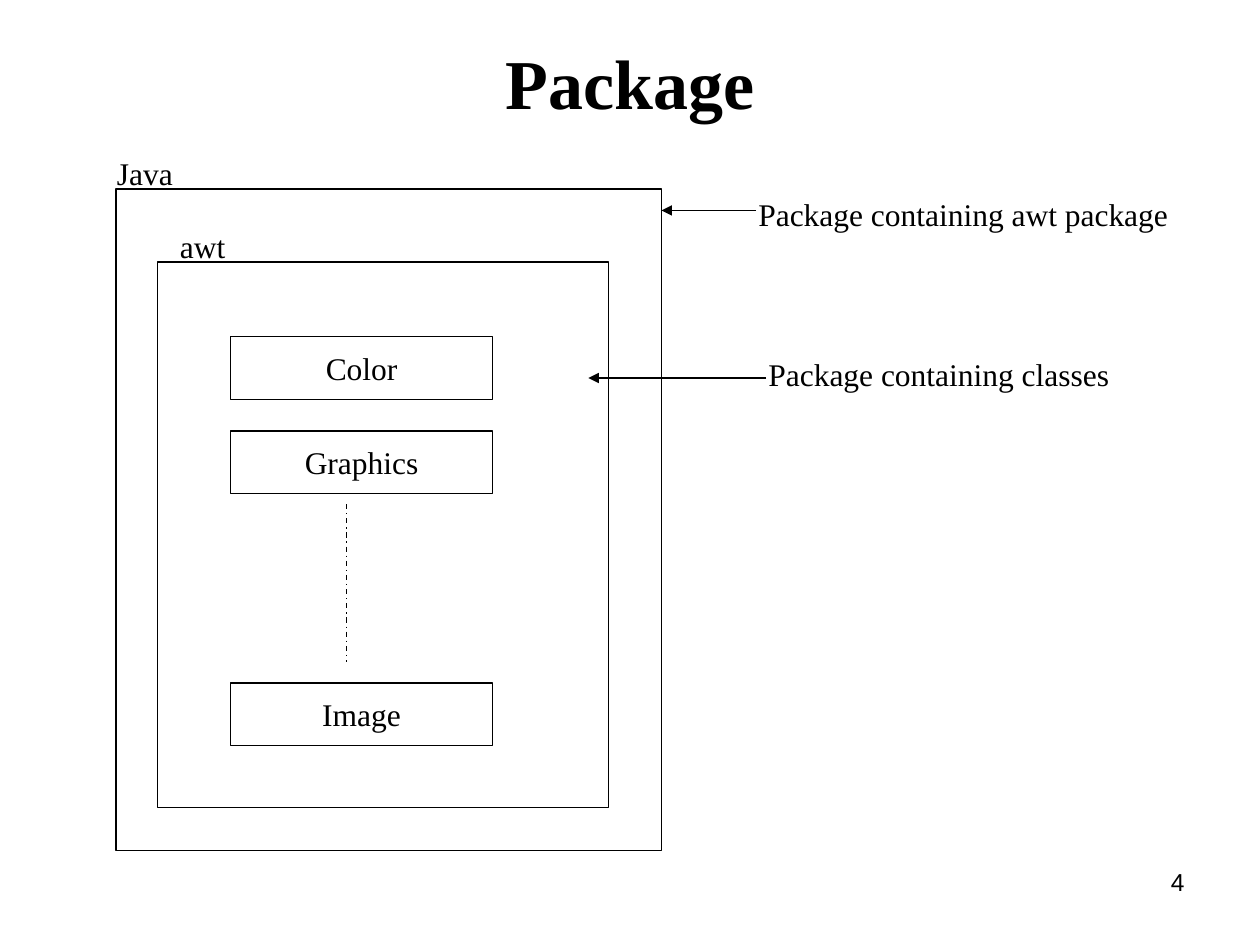
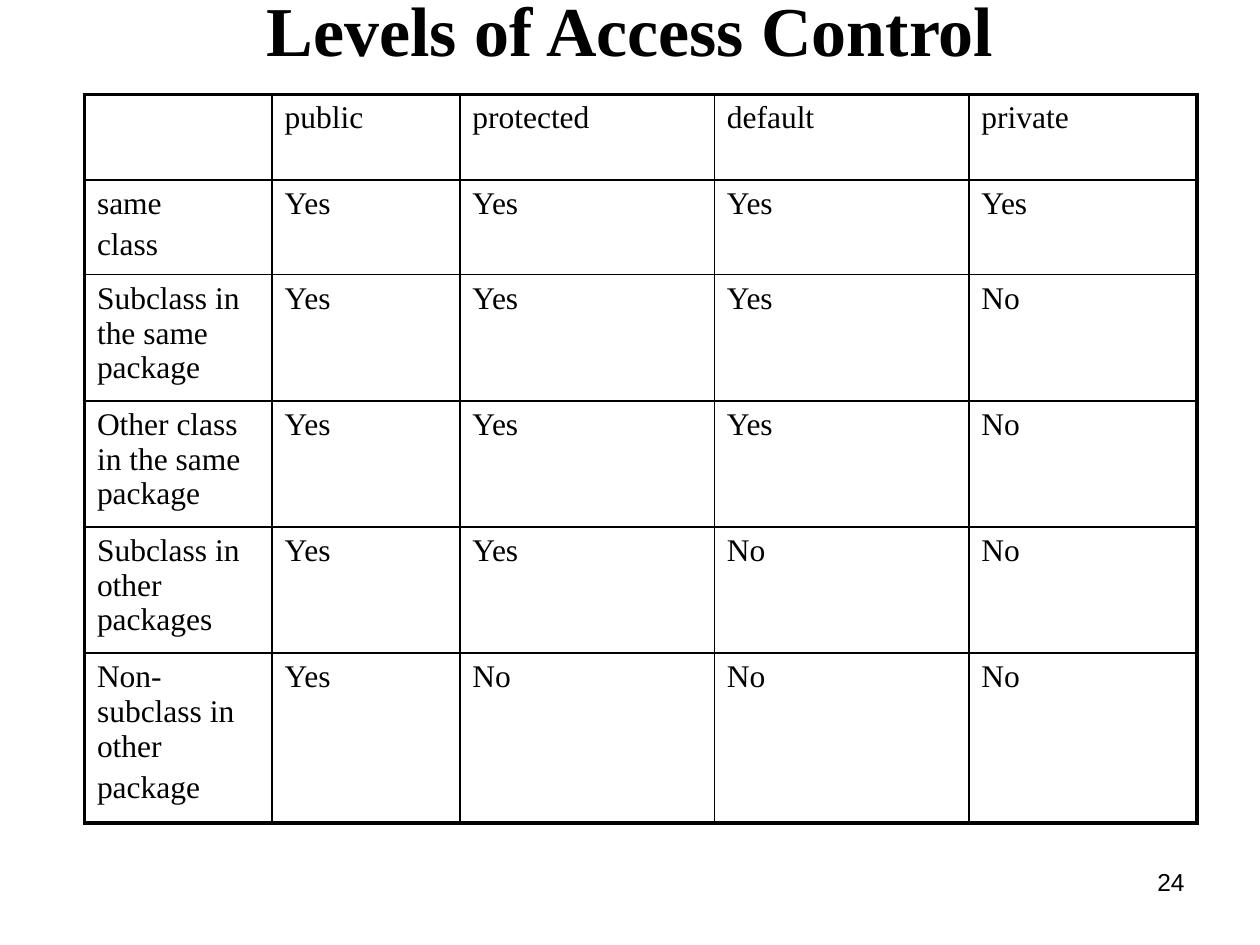
from lxml.etree import SubElement
from pptx import Presentation
from pptx.dml.color import RGBColor
from pptx.enum.dml import MSO_LINE
from pptx.enum.shapes import MSO_CONNECTOR, MSO_SHAPE
from pptx.enum.text import MSO_ANCHOR, MSO_AUTO_SIZE, PP_ALIGN
from pptx.oxml.ns import qn
from pptx.util import Inches, Pt

INK, PAPER = "000000", "FFFFFF"
THIN, GRID, FRAME = 0.75, 1, 2.25
BODY = {"name": "Times New Roman", "size": Pt(18), "bold": False}
TITLE = {"name": "Times New Roman", "size": Pt(40), "bold": True}
NUMBER = {"name": "Arial", "size": Pt(14), "bold": False}
INSETS = {"margin_left": Inches(0.1), "margin_right": Inches(0.1),
          "margin_top": Inches(0.05), "margin_bottom": Inches(0.05)}

LEVELS = [
    ["", "public", "protected", "default", "private"],
    ["same\nclass", "Yes", "Yes", "Yes", "Yes"],
    ["Subclass in the same package", "Yes", "Yes", "Yes", "No"],
    ["Other class in the same package", "Yes", "Yes", "Yes", "No"],
    ["Subclass in other packages", "Yes", "Yes", "No", "No"],
    ["Non-subclass in other\npackage", "Yes", "No", "No", "No"],
]
WIDTHS = [1.49, 1.49, 2.02, 2.02, 1.81]
HEIGHTS = [0.68, 0.7, 0.93, 0.93, 0.93, 1.25]


def color(code):
    return RGBColor.from_string(code)


def inches(*sizes):
    return [Inches(size) for size in sizes]


def assign(target, values):
    for name, value in values.items():
        setattr(target, name, value)


def write(frame, text, font=BODY, align=PP_ALIGN.LEFT):
    """Fill a text frame, one paragraph for each line of text."""
    frame.text = text
    for index, para in enumerate(frame.paragraphs):
        para.alignment = align
        if index:
            para.space_before = Pt(3.6)
        for run in para.runs:
            assign(run.font, font)
            run.font.color.rgb = color(INK)


def label(slide, box, text, font=BODY, align=PP_ALIGN.LEFT, grow=True):
    frame = slide.shapes.add_textbox(*inches(*box)).text_frame
    assign(frame, {**INSETS, "word_wrap": True})
    if grow:
        frame.auto_size = MSO_AUTO_SIZE.SHAPE_TO_FIT_TEXT
    write(frame, text, font, align)


def block(slide, box, text=""):
    shape = slide.shapes.add_shape(MSO_SHAPE.RECTANGLE, *inches(*box))
    shape.shadow.inherit = False
    shape.fill.solid()
    shape.fill.fore_color.rgb = color(PAPER)
    shape.line.color.rgb = color(INK)
    shape.line.width = Pt(THIN)
    if text:
        assign(shape.text_frame,
               {**INSETS, "vertical_anchor": MSO_ANCHOR.MIDDLE})
        write(shape.text_frame, text, align=PP_ALIGN.CENTER)


def link(slide, start, end, dash=None, arrow=False):
    line = slide.shapes.add_connector(
        MSO_CONNECTOR.STRAIGHT, *inches(*start, *end))
    line.line.color.rgb = color(INK)
    line.line.width = Pt(THIN)
    if dash:
        line.line.dash_style = dash
    if arrow:
        SubElement(line.line._get_or_add_ln(), qn("a:tailEnd"), type="triangle")
    SubElement(line._element.spPr, qn("a:effectLst"))


def page(deck, title, box, number):
    """Add a slide with its title and page number."""
    slide = deck.slides.add_slide(deck.slide_layouts[5])
    head = slide.shapes.title
    assign(head, dict(zip(("left", "top", "width", "height"), inches(*box))))
    assign(head.text_frame, {**INSETS, "word_wrap": True,
                             "vertical_anchor": MSO_ANCHOR.MIDDLE,
                             "auto_size": MSO_AUTO_SIZE.NONE})
    write(head.text_frame, title, TITLE, PP_ALIGN.CENTER)
    label(slide, (7.17, 6.83, 2.33, 0.52), str(number), NUMBER,
          PP_ALIGN.RIGHT, grow=False)
    return slide


def nest(slide, box):
    """Draw the java package around awt and its classes."""
    left, top, width, height = box
    block(slide, box)
    block(slide, (left + 0.33, top + 0.58, width - 0.75, height - 0.92))
    for name, drop in (("Color", 1.17), ("Graphics", 1.92), ("Image", 3.92)):
        block(slide, (left + 0.91, top + drop, 2.08, 0.5), name)
    mid = left + 1.83
    link(slide, (mid, top + 2.5), (mid, top + 3.75), MSO_LINE.DASH_DOT)
    label(slide, (left - 0.09, top - 0.33, 2, 0.4), "Java")
    label(slide, (left + 0.41, top + 0.25, 2.25, 0.4), "awt")


def notes(slide, box):
    """Place the remarks right of the packages, with arrows to the left."""
    left, top, width, height = box
    for text, shift, drop, start, end, level in (
            ("Package containing awt package", 0, 0, 0.08, -0.67, 0.17),
            ("Package containing classes", 0.08, 1.27, 0.16, -1.25, 1.5)):
        label(slide, (left + shift, top + drop, width, height), text)
        link(slide, (left + start, top + level), (left + end, top + level),
             arrow=True)


def border(cell, widths):
    """Draw the sides of a cell, given as left, right, top and bottom."""
    props = cell._tc.get_or_add_tcPr()
    for side, width in zip("LRTB", widths):
        line = SubElement(props, qn(f"a:ln{side}"), w=str(Pt(width)))
        fill = SubElement(line, qn("a:solidFill"))
        SubElement(fill, qn("a:srgbClr"), val=INK)


def matrix(slide, box, rows):
    """Draw the table with a heavy frame and a thin grid."""
    table = slide.shapes.add_table(
        len(rows), len(rows[0]), *inches(*box)).table
    assign(table, {"first_row": False, "horz_banding": False})
    for column, width in zip(table.columns, WIDTHS):
        column.width = Inches(width)
    for row, height in zip(table.rows, HEIGHTS):
        row.height = Inches(height)
    last, end = len(rows) - 1, len(rows[0]) - 1
    for r, row in enumerate(rows):
        for c, text in enumerate(row):
            cell = table.cell(r, c)
            assign(cell, INSETS)
            write(cell.text_frame, text)
            edges = (c == 0, c == end, r == 0, r == last)
            border(cell, [FRAME if edge else GRID for edge in edges])
            cell.fill.background()


def main():
    deck = Presentation()
    deck.slide_width, deck.slide_height = inches(10, 7.5)
    slide = page(deck, "Package", (0.5, 0.3, 9, 0.7), 4)
    nest(slide, (0.92, 1.5, 4.33, 5.25))
    notes(slide, (5.92, 1.5, 3.5, 0.4))
    slide = page(deck, "Levels of Access Control", (0.5, -0.08, 9, 0.62), 24)
    matrix(slide, (0.67, 0.75, sum(WIDTHS), sum(HEIGHTS)), LEVELS)
    deck.save("out.pptx")


if __name__ == "__main__":
    main()
